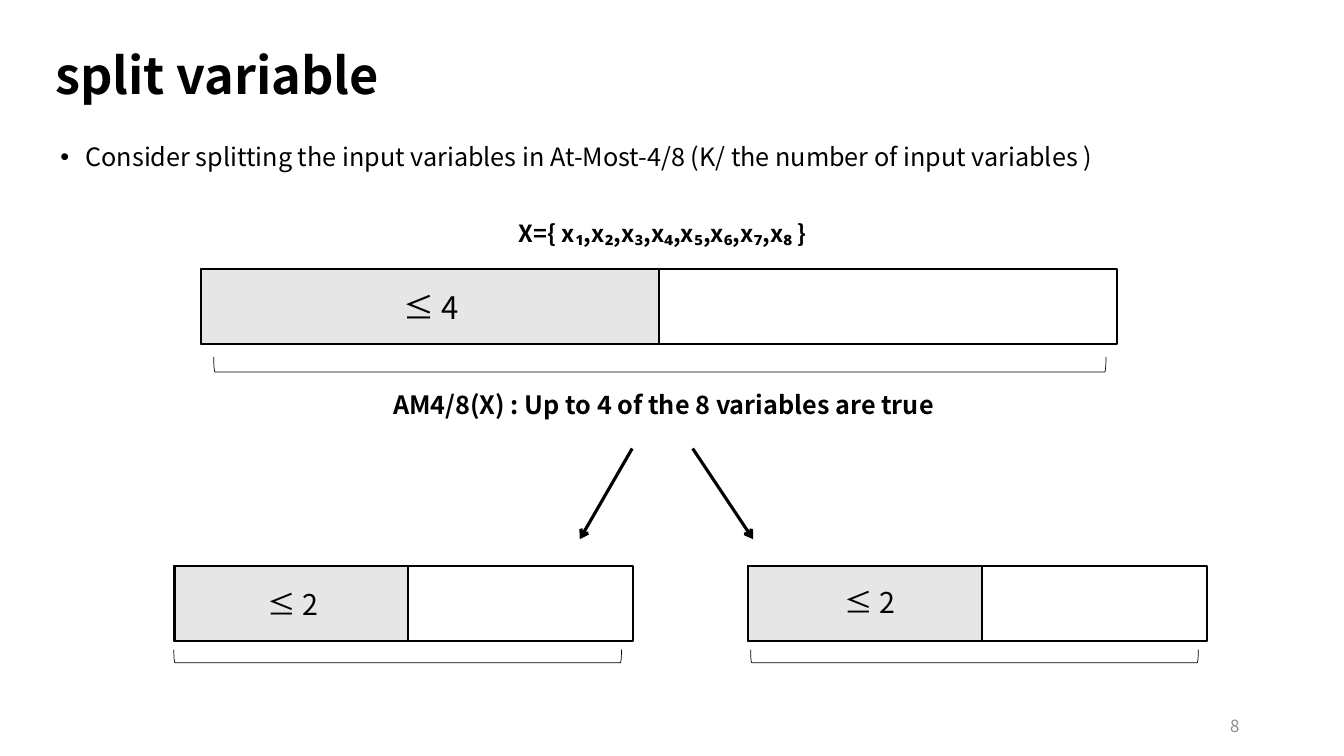
from dataclasses import dataclass

from lxml import etree
from pptx import Presentation
from pptx import util as u
from pptx.dml.color import RGBColor
from pptx.enum import shapes, text
from pptx.oxml.ns import qn

WIDTH, HEIGHT = u.Inches(13.33), u.Inches(7.5)
BLACK = RGBColor(0x00, 0x00, 0x00)
SHADE = RGBColor(0xE7, 0xE6, 0xE6)
GRAY = RGBColor(0x8C, 0x8C, 0x8C)
FONT = "Noto Sans CJK JP"
BAR_HEIGHT = 9.87


@dataclass
class Label:
    words: str
    left: float
    top: float
    width: float
    height: float
    size: float
    leading: float = 0.9
    bold: bool = False
    bullet: bool = False
    color: RGBColor = BLACK
    align: text.PP_ALIGN = text.PP_ALIGN.LEFT
    anchor: text.MSO_ANCHOR = text.MSO_ANCHOR.TOP


@dataclass
class Bar:
    left: float
    top: float
    width: float
    shaded: float


@dataclass
class Bracket:
    center: float
    middle: float
    span: float
    depth: float


@dataclass
class Arrow:
    start: float
    end: float


BARS = [
    Bar(14.93, 35.6, 68.19, 0.5),
    Bar(12.98, 74.93, 34.13, 0.51),
    Bar(55.66, 74.93, 34.13, 0.51),
]
BRACKETS = [
    Bracket(49.1, 48.2, 66.39, 2),
    Bracket(29.59, 86.8, 33.31, 1.73),
    Bracket(72.51, 86.8, 33.31, 1.73),
]
ARROWS = [Arrow(47.04, 43.14), Arrow(51.54, 56.04)]
ARROW_TOP, ARROW_BOTTOM = 59.33, 71.33
LABELS = [
    Label("split variable", 3.38, 6.13, 82.07, 10.27, 36, bold=True),
    Label("Consider splitting the input variables in At-Most-4/8 (K/ the number of input variables )",
          3.75, 18.53, 83.5, 5.33, 18, bullet=True),
    Label("X={ x₁,x₂,x₃,x₄,x₅,x₆,x₇,x₈ }", 37.88, 29.33, 24.23, 7.33, 16.8, 0.7, bold=True),
    Label("≤ 4", 29.26, 38.4, 11.48, 5.6, 22.2, 0.8),
    Label("AM4/8(X) : Up to 4 of the 8 variables are true", 28.51, 51.33, 50.64, 4.53, 18, bold=True),
    Label("≤ 2", 19.2, 78.27, 13.05, 4.93, 20.4, 0.7),
    Label("≤ 2", 62.12, 78, 6.45, 4.93, 20.4, 0.7),
    Label("8", 70.44, 93.33, 22.51, 5.33, 12, 1.0, color=GRAY,
          align=text.PP_ALIGN.RIGHT, anchor=text.MSO_ANCHOR.MIDDLE),
]


def across(share: float) -> u.Emu:
    return u.Emu(round(WIDTH * share / 100))


def down(share: float) -> u.Emu:
    return u.Emu(round(HEIGHT * share / 100))


def draw_label(page, label: Label) -> None:
    box = page.shapes.add_textbox(across(label.left), down(label.top),
                                  across(label.width), down(label.height))
    frame = box.text_frame
    frame.word_wrap = True
    frame.vertical_anchor = label.anchor
    frame.text = label.words
    para = frame.paragraphs[0]
    para.alignment = label.align
    para.line_spacing = label.leading
    if label.bullet:
        props = para._p.get_or_add_pPr()
        props.set("marL", str(u.Inches(0.25)))
        props.set("indent", str(-u.Inches(0.25)))
        etree.SubElement(props, qn("a:buFont"), typeface="Arial")
        etree.SubElement(props, qn("a:buChar"), char="•")
    span = para.runs[0]
    span.font.size = u.Pt(label.size)
    span.font.bold = label.bold
    span.font.color.rgb = label.color
    span.font.name = FONT
    etree.SubElement(span.font._element, qn("a:ea"), typeface=FONT)


def draw_outline(page, kind: shapes.MSO_SHAPE, left: int, top: int,
                 width: int, height: int, weight: float):
    shape = page.shapes.add_shape(kind, left, top, width, height)
    shape.shadow.inherit = False
    shape.fill.background()
    shape.line.color.rgb = BLACK
    shape.line.width = u.Pt(weight)
    return shape


def draw_bar(page, bar: Bar) -> None:
    for share in (bar.shaded, 1):
        part = draw_outline(page, shapes.MSO_SHAPE.RECTANGLE, across(bar.left), down(bar.top),
                            across(bar.width * share), down(BAR_HEIGHT), 1.5)
        if share < 1:
            part.fill.solid()
            part.fill.fore_color.rgb = SHADE
    if bar.shaded == 0.5:
        divider = draw_line(page, 0, 0, 0, 0, 1.5)
        divider.begin_connect(part, 0)
        divider.end_connect(part, 2)


def draw_bracket(page, bracket: Bracket) -> None:
    span, depth = across(bracket.span), down(bracket.depth)
    left = across(bracket.center) - depth // 2
    top = down(bracket.middle) - span // 2
    shape = draw_outline(page, shapes.MSO_SHAPE.LEFT_BRACKET, left, top, depth, span, 0.5)
    shape.rotation = 270


def draw_line(page, x1: int, y1: int, x2: int, y2: int, weight: float):
    line = page.shapes.add_connector(shapes.MSO_CONNECTOR.STRAIGHT, x1, y1, x2, y2)
    line.line.color.rgb = BLACK
    line.line.width = u.Pt(weight)
    etree.SubElement(line._element.spPr, qn("a:effectLst"))
    return line


def draw_arrow(page, arrow: Arrow) -> None:
    line = draw_line(page, across(arrow.start), down(ARROW_TOP),
                     across(arrow.end), down(ARROW_BOTTOM), 2.25)
    etree.SubElement(line.line._get_or_add_ln(), qn("a:tailEnd"), type="arrow")


def main() -> None:
    deck = Presentation()
    deck.slide_width, deck.slide_height = WIDTH, HEIGHT
    page = deck.slides.add_slide(deck.slide_layouts[6])
    for bar in BARS:
        draw_bar(page, bar)
    for bracket in BRACKETS:
        draw_bracket(page, bracket)
    for arrow in ARROWS:
        draw_arrow(page, arrow)
    for label in LABELS:
        draw_label(page, label)
    deck.save("out.pptx")


if __name__ == "__main__":
    main()
